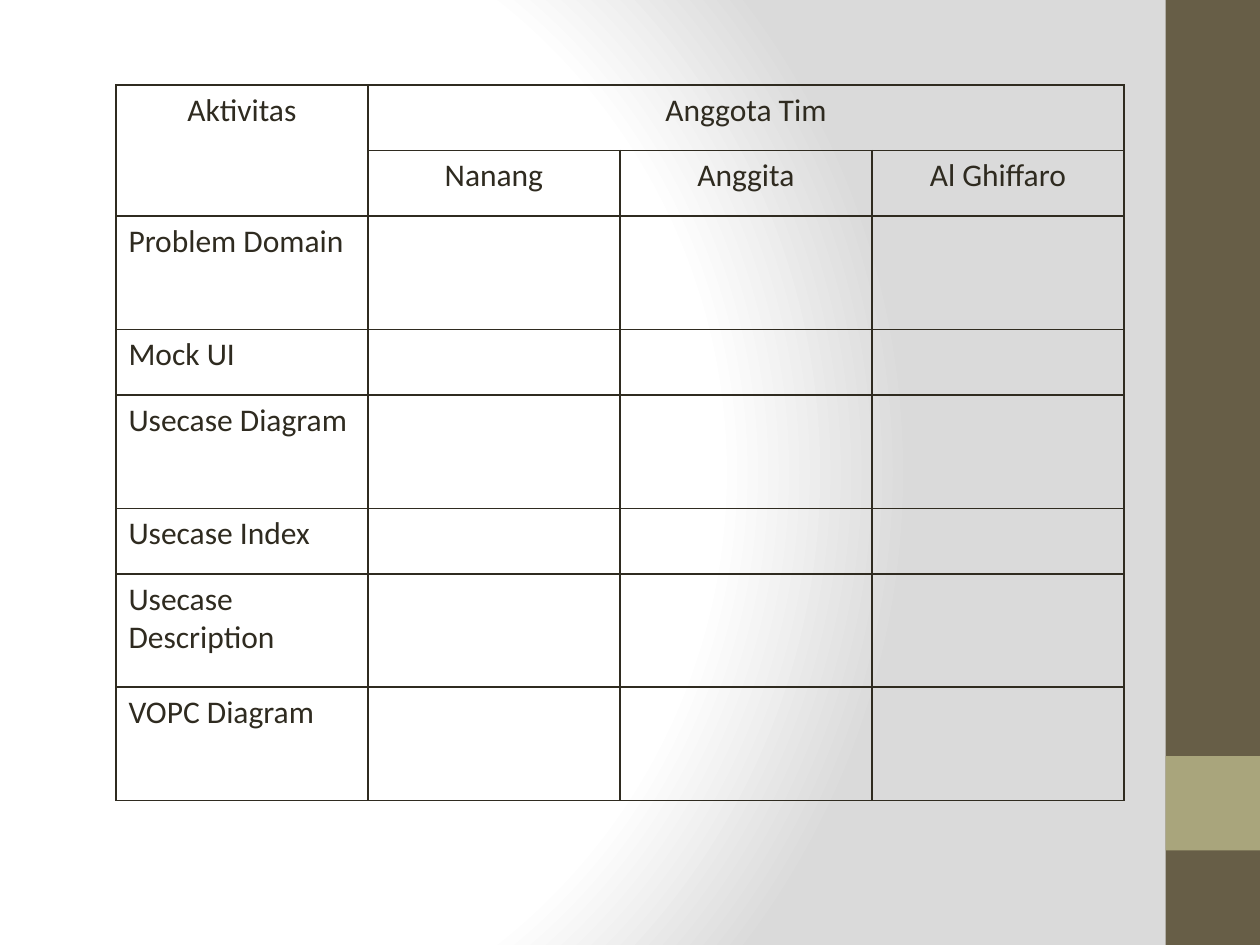
from dataclasses import dataclass

from lxml import etree
from pptx import Presentation
from pptx.dml.color import RGBColor as Color
from pptx.enum.shapes import MSO_SHAPE as Shape
from pptx.enum.text import PP_ALIGN as Align
from pptx.oxml import parse_xml
from pptx.oxml.ns import nsdecls, qn
from pptx.util import Inches, Pt


@dataclass(frozen=True)
class Theme:
    """Colours and type sizes of the deck."""
    ink: str = "2F2B20"
    band: str = "675E47"
    accent: str = "A9A57C"
    light: str = "FFFFFF"
    shade: str = "DADADA"
    font: str = "Calibri"
    size: int = 18
    rule: int = 1


class Page:
    """A slide with its style and a method for each kind of element."""

    def __init__(self, deck, theme):
        """Add a blank slide to the deck."""
        self.deck = deck
        self.theme = theme
        self.slide = deck.slides.add_slide(deck.slide_layouts[6])

    def area(self, left, top, width, height):
        """Turn shares of the slide into lengths."""
        across, down = self.deck.slide_width, self.deck.slide_height
        return [round(share * side) for share, side in
                zip((left, top, width, height), (across, down, across, down))]

    def glow(self, stops):
        """Fill the background with a radial gradient."""
        self.slide.background.fill.gradient()
        default = self.slide.element.find(".//" + qn("a:gradFill"))
        marks = "".join(
            f'<a:gs pos="{share * 1000}"><a:srgbClr val="{color}"/></a:gs>'
            for share, color in stops)
        radial = parse_xml(
            f'<a:gradFill {nsdecls("a")} rotWithShape="1"><a:gsLst>{marks}</a:gsLst>'
            '<a:path path="circle"><a:fillToRect l="20000" t="50000" '
            'r="100000" b="50000"/></a:path></a:gradFill>')
        default.getparent().replace(default, radial)

    def block(self, color, *shares):
        """Draw a plain filled rectangle."""
        box = self.slide.shapes.add_shape(Shape.RECTANGLE, *self.area(*shares))
        box.shadow.inherit = False
        box.fill.solid()
        box.fill.fore_color.rgb = Color.from_string(color)
        box.line.fill.background()

    def grid(self, shares, columns, heights):
        """Draw an empty ruled table and return it."""
        frame = self.slide.shapes.add_table(len(heights), columns, *self.area(*shares))
        table = frame.table
        table.first_row = table.horz_banding = False
        for row, height in zip(table.rows, heights):
            row.height = Inches(height)
        for cell in table.iter_cells():
            self.outline(cell)
            cell.fill.background()
        return table

    def outline(self, cell):
        """Rule all four sides of a cell."""
        properties = cell._tc.get_or_add_tcPr()
        for side in ("lnL", "lnR", "lnT", "lnB"):
            line = etree.SubElement(properties, qn(f"a:{side}"), w=str(Pt(self.theme.rule)))
            fill = etree.SubElement(line, qn("a:solidFill"))
            etree.SubElement(fill, qn("a:srgbClr"), val=self.theme.ink)

    def label(self, cell, text, align=Align.LEFT):
        """Put styled text in a cell."""
        cell.text_frame.text = text
        para = cell.text_frame.paragraphs[0]
        para.alignment = align
        for span in para.runs:
            span.font.name = self.theme.font
            span.font.size = Pt(self.theme.size)
            span.font.color.rgb = Color.from_string(self.theme.ink)


def main():
    """Build the activity table slide."""
    deck = Presentation()
    deck.slide_width, deck.slide_height = Inches(10), Inches(7.5)
    theme = Theme()
    page = Page(deck, theme)
    page.glow([(0, theme.light), (75, theme.light), (100, theme.shade)])
    page.block(theme.band, 0.925, 0, 0.075, 1)
    page.block(theme.accent, 0.925, 0.8, 0.075, 0.1)

    short, tall = 0.52, 0.9
    members = ["Nanang", "Anggita", "Al Ghiffaro"]
    activities = [
        ("Problem Domain", tall),
        ("Mock UI", short),
        ("Usecase Diagram", tall),
        ("Usecase Index", short),
        ("Usecase Description", tall),
        ("VOPC Diagram", tall),
    ]
    heights = [short, short] + [height for _, height in activities]
    table = page.grid((0.092, 0.09, 0.8, 0.76), len(members) + 1, heights)
    table.cell(0, 0).merge(table.cell(1, 0))
    table.cell(0, 1).merge(table.cell(0, len(members)))
    page.label(table.cell(0, 0), "Aktivitas", Align.CENTER)
    page.label(table.cell(0, 1), "Anggota Tim", Align.CENTER)
    for column, member in enumerate(members, 1):
        page.label(table.cell(1, column), member, Align.CENTER)
    for row, (activity, _) in enumerate(activities, 2):
        page.label(table.cell(row, 0), activity)
    deck.save("out.pptx")


main()
